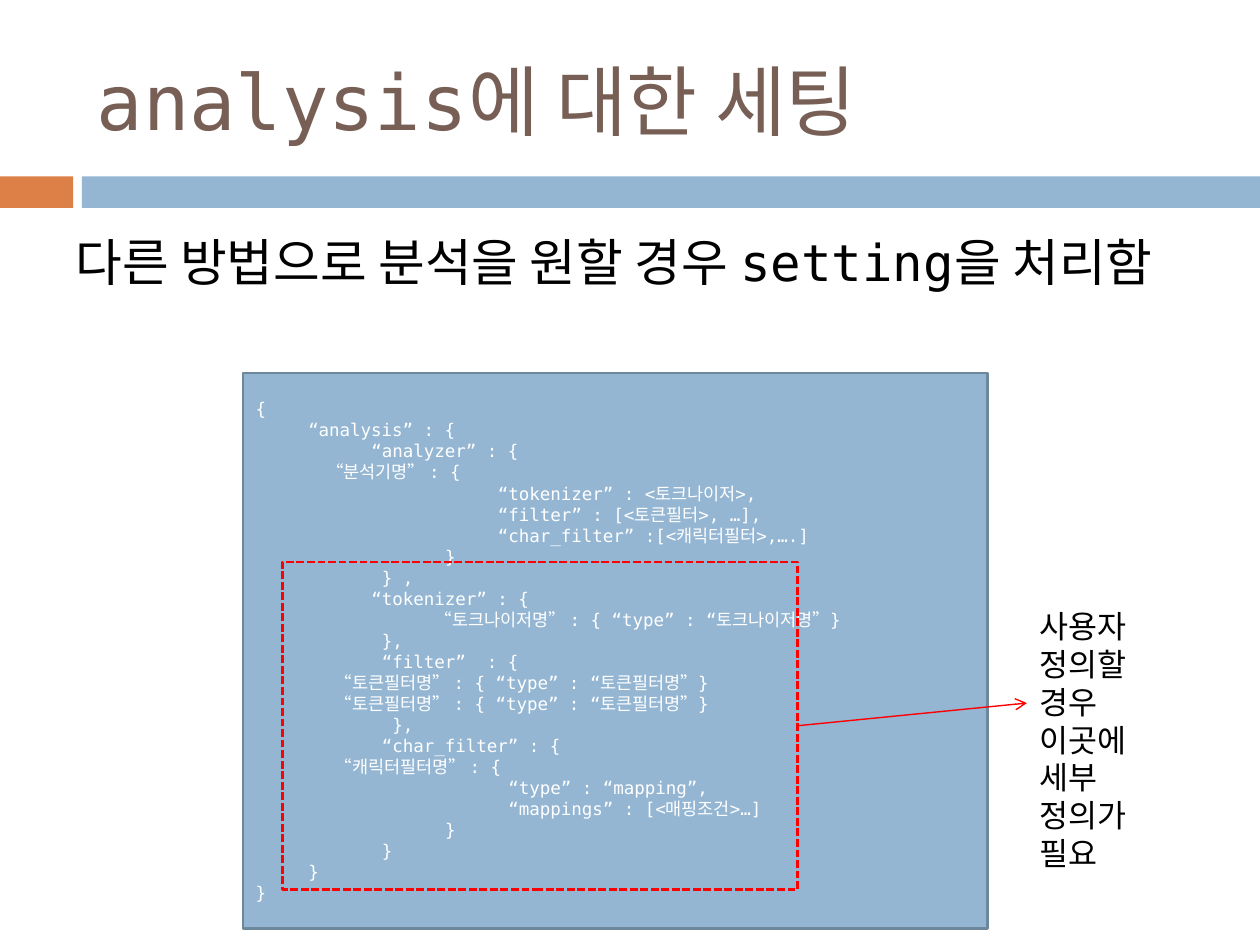
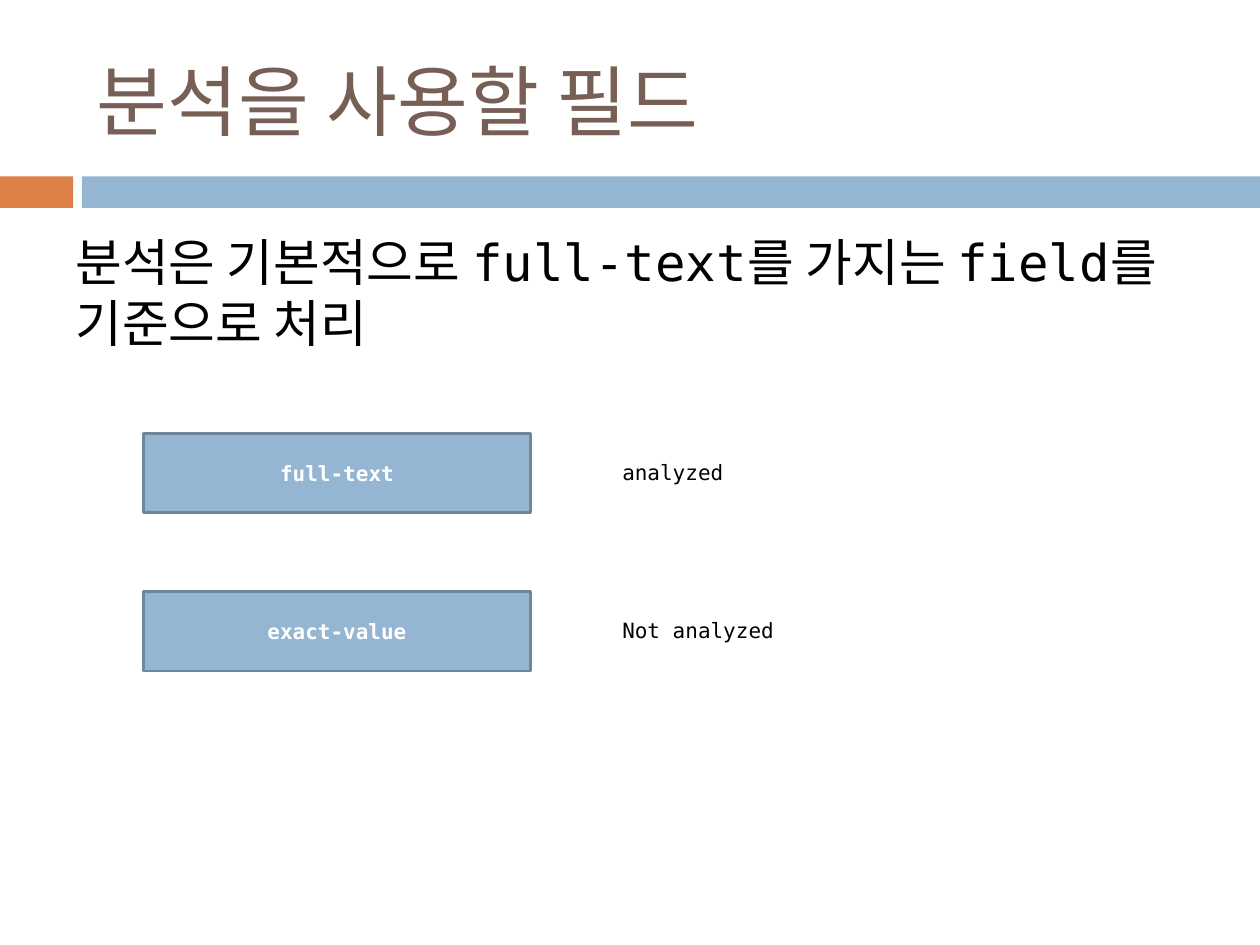
from lxml import etree
from pptx import Presentation
from pptx.dml.color import RGBColor
from pptx.enum import dml, shapes, text
from pptx.oxml.ns import qn
from pptx.util import Inches, Pt

FONT = "DejaVu Sans Mono"
ORANGE = RGBColor(0xDD, 0x80, 0x47)
BLUE = RGBColor(0x94, 0xB6, 0xD2)
SLATE = RGBColor(0x6D, 0x87, 0x9B)
BROWN = RGBColor(0x77, 0x5F, 0x55)
RED = RGBColor(0xFF, 0x00, 0x00)
BLACK = RGBColor(0x00, 0x00, 0x00)
WHITE = RGBColor(0xFF, 0xFF, 0xFF)

COLUMN = 0.0836  # inches taken by one 10 pt monospaced character

BANDS = [((0, 1.4, 0.58, 0.25), ORANGE), ((0.65, 1.4, 9.35, 0.25), BLUE)]
TITLE_AREA = (0.67, 0.25, 8.92, 1.08)
LEAD_AREA = (0.5, 1.78, 9, 1.3)

SETTING_TITLE = "analysis에 대한 세팅"
SETTING_LEAD = "다른 방법으로 분석을 원할 경우 setting을 처리함"
SETTING_NOTE = "사용자 정의할 경우 이곳에 세부 정의가 필요"
# (indent in columns, line)
SETTING_CODE = [
    (0, "{"),
    (5, "“analysis” : {"),
    (11, "“analyzer” : {"),
    (6.7, "“분석기명” : {"),
    (23, "“tokenizer” : <토크나이저>,"),
    (23, "“filter” : [<토큰필터>, …],"),
    (23, "“char_filter” :[<캐릭터필터>,….]"),
    (18, "}"),
    (12, "} ,"),
    (11, "“tokenizer” : {"),
    (17, "“토크나이저명” : { “type” : “토크나이저명”}"),
    (12, "},"),
    (12, "“filter”  : {"),
    (7.5, "“토큰필터명” : { “type” : “토큰필터명”}"),
    (7.5, "“토큰필터명” : { “type” : “토큰필터명”}"),
    (13, "},"),
    (12, "“char_filter” : {"),
    (7.5, "“캐릭터필터명” : {"),
    (24, "“type” : “mapping”,"),
    (24, "“mappings” : [<매핑조건>…]"),
    (18, "}"),
    (12, "}"),
    (5, "}"),
    (0, "}"),
]

FIELD_TITLE = "분석을 사용할 필드"
FIELD_LEAD = "분석은 기본적으로 full-text를 가지는 field를 기준으로 처리"
FIELDS = [("full-text", "analyzed"), ("exact-value", "Not analyzed")]
FIELD_TOP, FIELD_STEP = 3.44, 1.255


def write(para, words, size, color, bold=False):
    span = para.add_run()
    span.text = words
    span.font.name = FONT
    span.font.size = Pt(size)
    span.font.bold = bold
    span.font.color.rgb = color


def add_text(page, area, words, size, color=BLACK,
             anchor=text.MSO_ANCHOR.TOP, space_before=0):
    box = page.shapes.add_textbox(*map(Inches, area))
    box.text_frame.word_wrap = True
    box.text_frame.vertical_anchor = anchor
    para = box.text_frame.paragraphs[0]
    para.space_before = Pt(space_before)
    write(para, words, size, color)
    return box


def add_box(page, area, fill=None, line=None):
    box = page.shapes.add_shape(shapes.MSO_SHAPE.RECTANGLE, *map(Inches, area))
    box.shadow.inherit = False
    if fill is None:
        box.fill.background()
    else:
        box.fill.solid()
        box.fill.fore_color.rgb = fill
    if line is None:
        box.line.fill.background()
    else:
        box.line.color.rgb = line
        box.line.width = Pt(1.5)
    box.text_frame.vertical_anchor = text.MSO_ANCHOR.MIDDLE
    return box


def add_arrow(page, source, target):
    """Arrow from the right side of source to the left side of target."""
    arrow = page.shapes.add_connector(shapes.MSO_CONNECTOR.STRAIGHT, 0, 0, 0, 0)
    arrow.begin_connect(source, 3)
    arrow.end_connect(target, 1)
    arrow.line.color.rgb = RED
    arrow.line.width = Pt(0.79)
    etree.SubElement(arrow.line._get_or_add_ln(), qn("a:tailEnd"), type="arrow")
    etree.SubElement(arrow._element.spPr, qn("a:effectLst"))


def add_page(deck, title, lead):
    page = deck.slides.add_slide(deck.slide_layouts[6])
    for area, color in BANDS:
        add_box(page, area, color)
    add_text(page, TITLE_AREA, title, 44, BROWN, text.MSO_ANCHOR.MIDDLE)
    add_text(page, LEAD_AREA, lead, 29, space_before=7)
    return page


def add_setting_page(deck):
    page = add_page(deck, SETTING_TITLE, SETTING_LEAD)
    code = add_box(page, (1.93, 2.96, 5.91, 4.41), BLUE, SLATE)
    frame = code.text_frame
    for number, (columns, line) in enumerate(SETTING_CODE):
        para = frame.add_paragraph() if number else frame.paragraphs[0]
        para.alignment = text.PP_ALIGN.LEFT
        properties = para._p.get_or_add_pPr()
        properties.set("marL", str(Inches(columns * COLUMN)))
        properties.set("indent", "0")
        write(para, line, 10, WHITE)

    custom_part = add_box(page, (2.24, 4.46, 4.09, 2.6), line=RED)
    custom_part.line.dash_style = dml.MSO_LINE.SQUARE_DOT
    note = add_text(page, (8.15, 4.77, 1.34, 1.62), SETTING_NOTE, 18)
    add_arrow(page, custom_part, note)


def add_field_page(deck):
    page = add_page(deck, FIELD_TITLE, FIELD_LEAD)
    for row, (field, treatment) in enumerate(FIELDS):
        top = FIELD_TOP + row * FIELD_STEP
        box = add_box(page, (1.14, top, 3.07, 0.63), BLUE, SLATE)
        para = box.text_frame.paragraphs[0]
        para.alignment = text.PP_ALIGN.CENTER
        write(para, field, 12, WHITE, bold=True)
        add_text(page, (4.84, top + 0.16, 3.31, 0.3), treatment, 12)


def main():
    deck = Presentation()
    deck.slide_width, deck.slide_height = Inches(10), Inches(7.5)
    add_setting_page(deck)
    add_field_page(deck)
    deck.save("out.pptx")


if __name__ == "__main__":
    main()
